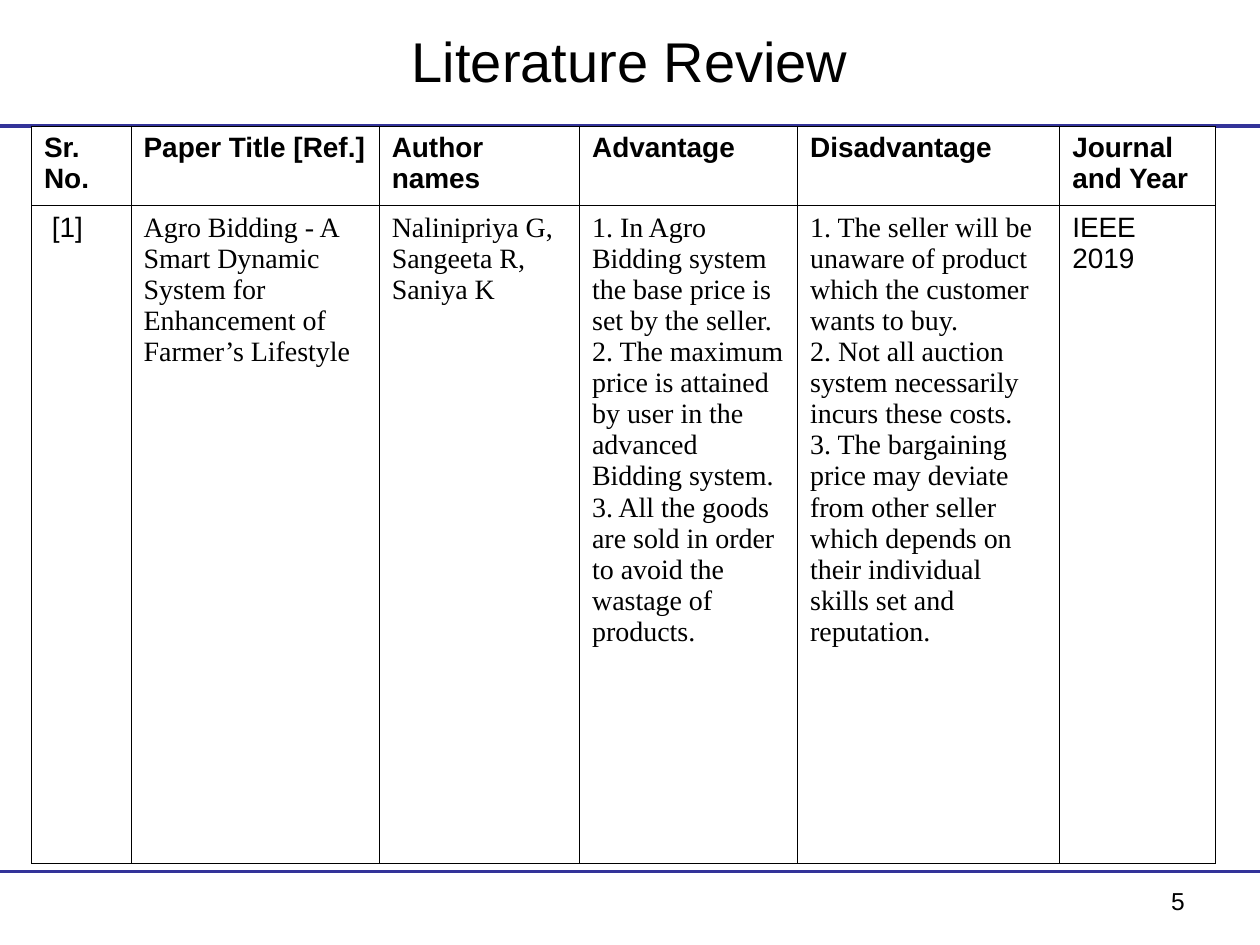
import pptx
import pptx.dml.color
import pptx.enum.shapes
import pptx.enum.text
import pptx.oxml.ns
import pptx.util
from lxml import etree

Pt = pptx.util.Pt
ALIGN = pptx.enum.text.PP_ALIGN
ANCHOR = pptx.enum.text.MSO_ANCHOR
SERIF = "Times New Roman"
COLUMNS = [
    (56.9, "Sr. No.", "Arial", [" [1]"]),
    (141.8, "Paper Title [Ref.]", SERIF,
     ["Agro Bidding - A Smart Dynamic System for Enhancement of Farmer’s Lifestyle"]),
    (114.5, "Author names", SERIF, ["Nalinipriya G,", "Sangeeta R,", "Saniya K"]),
    (124.6, "Advantage", SERIF, [
        "1. In Agro Bidding system the base price is set by the seller.",
        "2. The maximum price is attained by user in the advanced Bidding system.",
        "3. All the goods are sold in order to avoid the wastage of products."]),
    (149.8, "Disadvantage", SERIF, [
        "1. The seller will be unaware of product which the customer wants to buy.",
        "2. Not all auction system necessarily incurs these costs.",
        "3. The bargaining price may deviate from other seller which depends on "
        "their individual skills set and reputation."]),
    (88.9, "Journal and Year", "Arial", ["IEEE", "2019"]),
]


def rgb(value):
    return pptx.dml.color.RGBColor.from_string(value)


def write(tf, lines, size, font="Arial", bold=False, align=ALIGN.LEFT):
    tf.word_wrap = True
    for i, line in enumerate(lines):
        p = tf.paragraphs[0] if i == 0 else tf.add_paragraph()
        p.text = line
        p.alignment = align
        p.font.name = font
        p.font.size = Pt(size)
        p.font.bold = bold
        p.font.color.rgb = rgb("000000")


def add_title(s, text):
    sp = s.shapes.title
    sp.left, sp.top, sp.width, sp.height = Pt(36), Pt(9.4), Pt(648), Pt(50.4)
    sp.text_frame.vertical_anchor = ANCHOR.MIDDLE
    write(sp.text_frame, [text], 32, align=ALIGN.CENTER)


def add_rule(s, y):
    line = s.shapes.add_connector(
        pptx.enum.shapes.MSO_CONNECTOR.STRAIGHT, Pt(0), Pt(y), Pt(720), Pt(y))
    line.line.color.rgb = rgb("333399")
    line.line.width = Pt(2.25)
    etree.SubElement(line._element.spPr, pptx.oxml.ns.qn("a:effectLst"))


def add_page_number(s, text):
    sp = s.shapes.add_textbox(Pt(516), Pt(502.6), Pt(168), Pt(37.4))
    write(sp.text_frame, [text], 14, align=ALIGN.RIGHT)


def format_cell(cell, lines, font, bold):
    tcPr = cell._tc.get_or_add_tcPr()
    for side in ("lnL", "lnR", "lnT", "lnB"):
        ln = etree.SubElement(tcPr, pptx.oxml.ns.qn("a:" + side), w=str(Pt(0.45)))
        fill = etree.SubElement(ln, pptx.oxml.ns.qn("a:solidFill"))
        etree.SubElement(fill, pptx.oxml.ns.qn("a:srgbClr"), val="000000")
    cell.fill.solid()
    cell.fill.fore_color.rgb = rgb("FFFFFF")
    write(cell.text_frame, lines, 16, font, bold)


def add_review_table(s):
    width = sum(column[0] for column in COLUMNS)
    table = s.shapes.add_table(
        2, len(COLUMNS), Pt(18), Pt(72), Pt(width), Pt(421.2)).table
    table.rows[0].height = Pt(45.6)
    table.rows[1].height = Pt(375.6)
    for i, (width, heading, font, lines) in enumerate(COLUMNS):
        table.columns[i].width = Pt(width)
        format_cell(table.cell(0, i), [heading], "Arial", True)
        format_cell(table.cell(1, i), lines, font, False)


def main():
    prs = pptx.Presentation()
    prs.slide_width, prs.slide_height = Pt(720), Pt(540)
    s = prs.slides.add_slide(prs.slide_layouts[5])
    add_rule(s, 72)
    add_rule(s, 498)
    add_title(s, "Literature Review")
    add_page_number(s, "5")
    add_review_table(s)
    prs.save("out.pptx")


if __name__ == "__main__":
    main()
